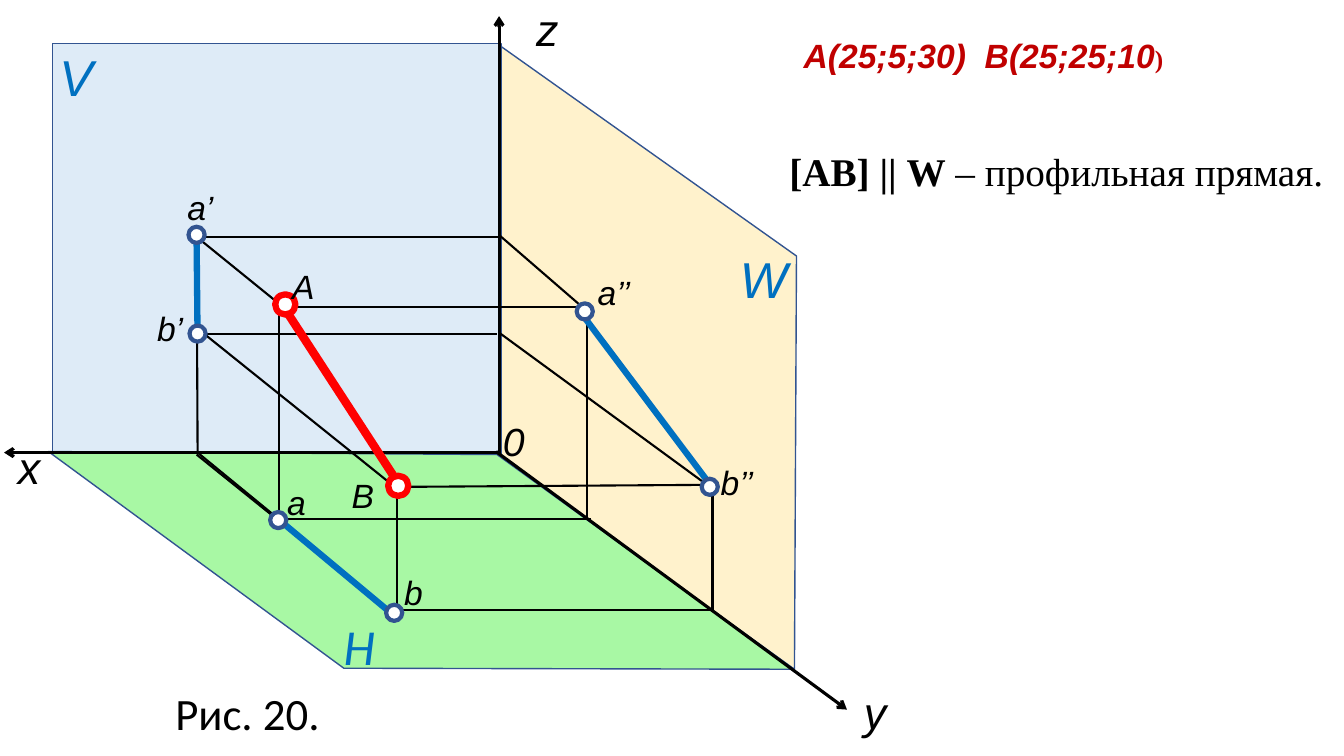
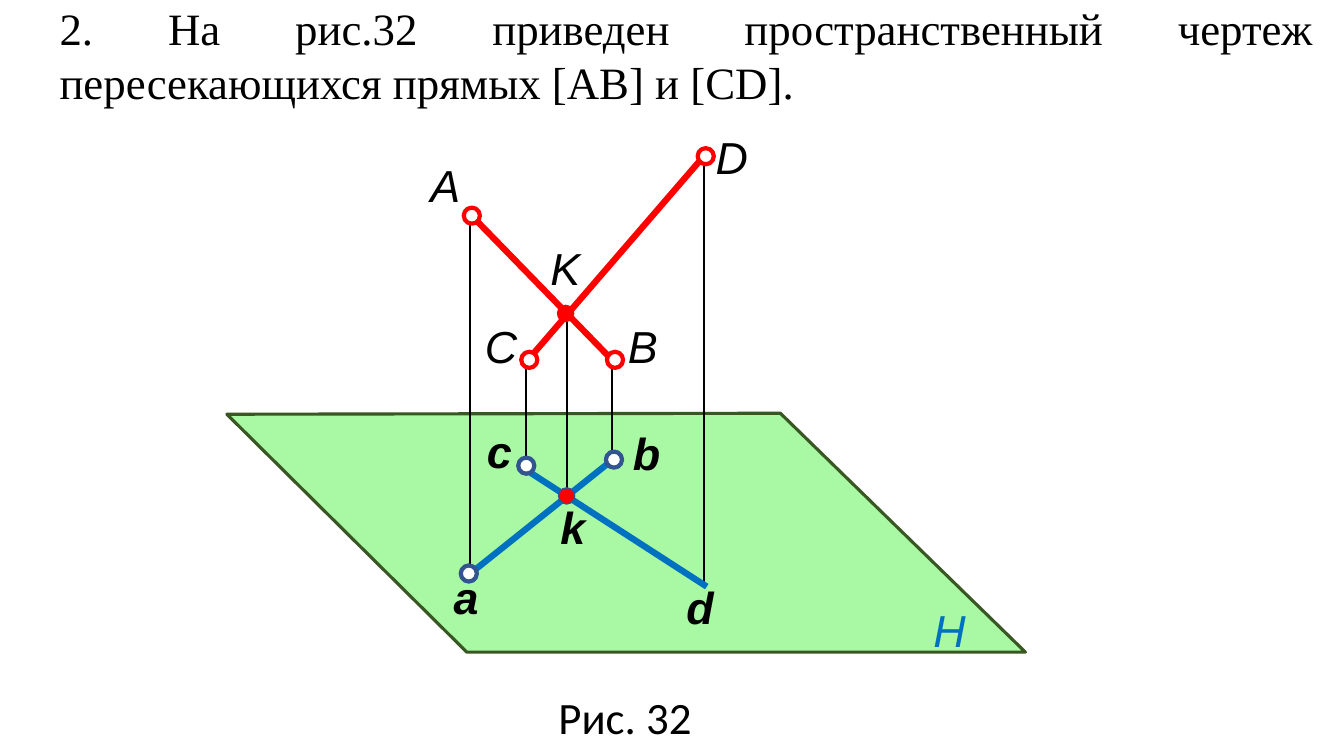
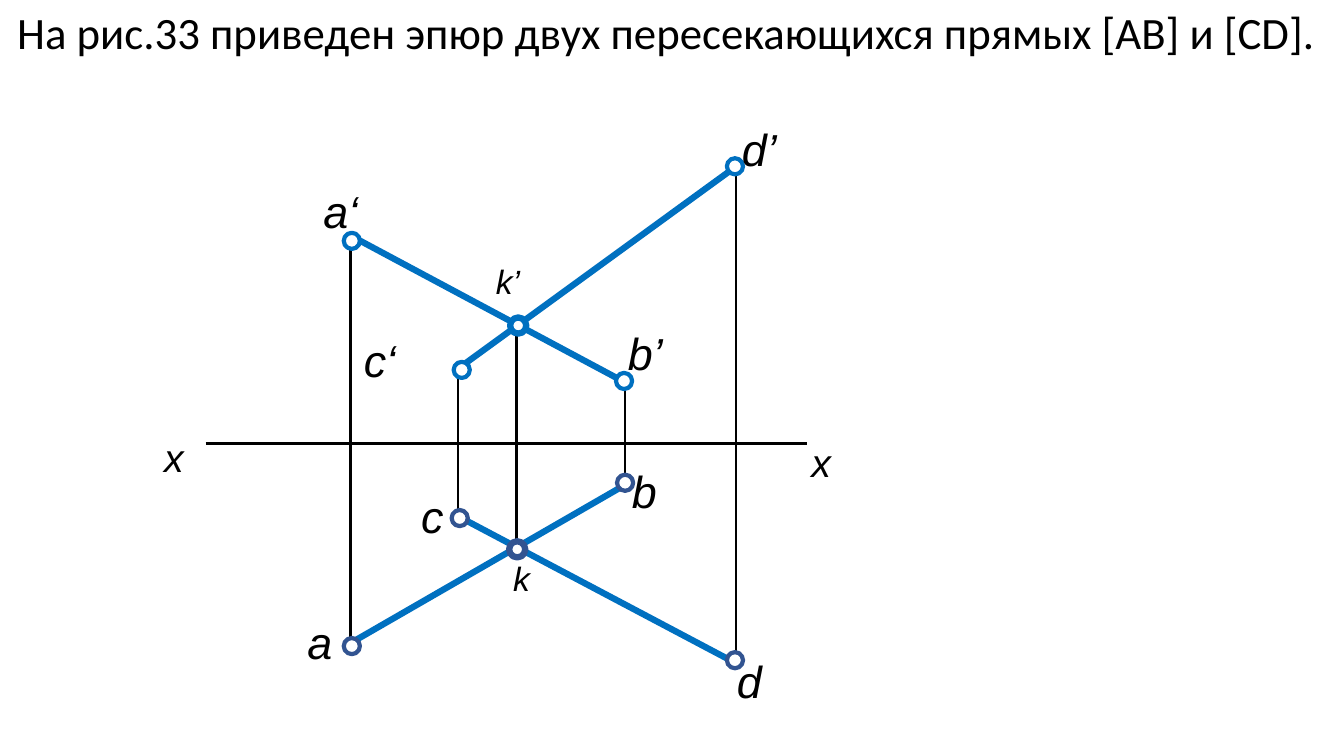
import pptx
import pptx.util
import pptx.dml.color
import pptx.enum.shapes
import pptx.enum.text
import pptx.oxml
import pptx.oxml.ns

Inches = pptx.util.Inches
Pt = pptx.util.Pt
ALIGN = pptx.enum.text.PP_ALIGN

BLACK, WHITE, RED, DARK_RED = "000000", "FFFFFF", "FF0000", "C00000"
BLUE, NAVY = "0070C0", "325491"
GREEN, DARK_GREEN, CREAM, PALE_BLUE = "A8F8A4", "385723", "FFF2CC", "DEEBF7"
SANS, SERIF, PLAIN = "Arial", "Times New Roman", "Calibri"
THIN, AXIS, BOLD_LINE = 1.5, 2.25, 4.5


def rgb(value):
    return pptx.dml.color.RGBColor.from_string(value)


def add_run(p, text, size=32, font=SANS, color=BLACK, bold=False, italic=False):
    r = p.add_run()
    r.text = text
    r.font.size = Pt(size)
    r.font.name = font
    r.font.bold = bold
    r.font.italic = italic
    r.font.color.rgb = rgb(color)
    return r


class Drawing:
    """Holds the presentation, the current slide and the drawing style."""

    def __init__(self):
        self.prs = pptx.Presentation()
        self.prs.slide_width = Inches(13.33)
        self.prs.slide_height = Inches(7.5)
        self.slide = None

    def new_slide(self):
        self.slide = self.prs.slides.add_slide(self.prs.slide_layouts[5])

    def frame(self, sp, align):
        tf = sp.text_frame
        tf.word_wrap = True
        tf.auto_size = pptx.enum.text.MSO_AUTO_SIZE.NONE
        tf.vertical_anchor = pptx.enum.text.MSO_ANCHOR.TOP
        p = tf.paragraphs[0]
        p.alignment = align
        return p

    def title(self, x, y, w, h, align=ALIGN.LEFT):
        sp = self.slide.shapes.title
        sp.left, sp.top, sp.width, sp.height = map(Inches, (x, y, w, h))
        return self.frame(sp, align)

    def text(self, text, x, y, w=1, h=0.64, align=ALIGN.LEFT, **fmt):
        sp = self.slide.shapes.add_textbox(*map(Inches, (x, y, w, h)))
        p = self.frame(sp, align)
        add_run(p, text, **fmt)
        return p

    def labels(self, items, **fmt):
        for text, x, y in items:
            self.text(text, x, y, **{"italic": True, **fmt})

    def paint(self, sp, fill, color, width):
        sp.shadow.inherit = False
        sp.fill.solid()
        sp.fill.fore_color.rgb = rgb(fill)
        sp.line.color.rgb = rgb(color)
        sp.line.width = Pt(width)

    def plane(self, points, fill, color=NAVY, width=1):
        pts = [(Inches(x), Inches(y)) for x, y in points]
        outline = self.slide.shapes.build_freeform(*pts[0])
        outline.add_line_segments(pts[1:], close=True)
        self.paint(outline.convert_to_shape(), fill, color, width)

    def rect(self, x, y, w, h, fill):
        kind = pptx.enum.shapes.MSO_SHAPE.RECTANGLE
        sp = self.slide.shapes.add_shape(kind, *map(Inches, (x, y, w, h)))
        self.paint(sp, fill, NAVY, 1)

    def points(self, centres, color=NAVY, width=3, fill=WHITE, size=0.16):
        kind = pptx.enum.shapes.MSO_SHAPE.OVAL
        for x, y in centres:
            box = (x - size / 2, y - size / 2, size, size)
            sp = self.slide.shapes.add_shape(kind, *map(Inches, box))
            self.paint(sp, fill, color, width)

    def lines(self, segments, color=BLACK, width=THIN, arrow=False):
        kind = pptx.enum.shapes.MSO_CONNECTOR.STRAIGHT
        for segment in segments:
            cx = self.slide.shapes.add_connector(kind, *map(Inches, segment))
            cx.line.color.rgb = rgb(color)
            cx.line.width = Pt(width)
            sp_pr = cx.element.spPr
            if arrow:
                head = pptx.oxml.parse_xml(
                    '<a:headEnd %s type="arrow"/>' % pptx.oxml.ns.nsdecls("a"))
                sp_pr.find(pptx.oxml.ns.qn("a:ln")).append(head)
            sp_pr.append(pptx.oxml.parse_xml(
                "<a:effectLst %s/>" % pptx.oxml.ns.nsdecls("a")))


def profile_line(d):
    d.new_slide()
    p = d.title(7.87, 0.3, 4.75, 0.5)
    add_run(p, "А(25;5;30)  В(25;25;10", size=24, color=DARK_RED,
            bold=True, italic=True)
    add_run(p, ")", size=18, font=SERIF, color=DARK_RED, bold=True)
    p = d.text("[АВ] || W", 7.65, 1.41, 5.65, 0.57, ALIGN.CENTER,
               size=28, font=SERIF, bold=True)
    add_run(p, " – профильная прямая.", size=28, font=SERIF)

    # Projection planes W, V, H
    d.plane([(4.94, 0.44), (7.9, 2.54), (7.88, 6.64), (4.96, 4.54)], CREAM)
    d.rect(0.52, 0.43, 4.45, 4.08, PALE_BLUE)
    d.plane([(0.48, 4.48), (4.93, 4.51), (7.87, 6.64), (3.41, 6.63)], GREEN)

    # Projecting lines of A, then of B
    d.lines([
        (4.98, 2.35, 1.89, 2.35), (2.85, 3.08, 1.95, 2.35),
        (5.8, 3.05, 2.76, 3.05), (4.96, 2.34, 5.78, 3.05),
        (2.77, 5.15, 2.77, 3.06), (5.86, 5.15, 2.82, 5.15),
        (5.82, 5.14, 5.82, 3.11), (2.82, 5.21, 1.95, 4.51),
        (1.96, 4.5, 1.95, 2.41), (4.93, 3.31, 1.97, 3.31),
        (3.89, 4.81, 1.96, 3.26), (4.95, 3.3, 7.04, 4.83),
        (4, 4.83, 7.03, 4.81), (3.94, 6.1, 3.94, 4.8),
        (7.06, 6.05, 3.95, 6.05), (3.96, 6.13, 1.96, 4.49)])
    d.lines([(7.07, 6.06, 7.07, 4.92)], width=AXIS)

    # Axes x, y, z
    d.lines([(0.04, 4.49, 4.96, 4.49), (8.4, 7.04, 4.92, 4.48),
             (4.95, 0.16, 4.95, 4.49)], width=AXIS, arrow=True)

    # Projections of the segment and the segment itself
    d.lines([(1.96, 3.38, 1.95, 2.4), (7.09, 4.87, 5.76, 3.1),
             (2.76, 5.15, 3.9, 6.1)], BLUE, BOLD_LINE)
    d.points([(1.95, 2.33), (1.96, 3.31), (5.8, 3.09), (7.04, 4.83),
              (2.76, 5.16), (3.91, 6.08)])
    d.lines([(2.81, 3.04, 3.98, 4.84)], RED, 6)
    d.points([(2.83, 3.02), (3.95, 4.82)], RED, BOLD_LINE, size=0.26 - 0.06)

    # Names
    d.labels([("a’", 1.76, 1.81), ("b’", 1.46, 3.01), ("a’’", 5.83, 2.65),
              ("b’’", 7.05, 4.53), ("a", 2.75, 4.73), ("b", 3.91, 5.62),
              ("A", 2.8, 2.59), ("B", 3.39, 4.66)], size=24)
    d.labels([("x", 0.08, 4.31), ("y", 8.47, 6.74), ("z", 5.22, -0.03)])
    d.labels([("0", 4.89, 4.09)], size=28)
    d.labels([("V", 0.49, 0.41), ("W", 7.24, 2.41)], size=36, color=BLUE)
    d.labels([("H", 3.31, 6.05)], size=36, color=BLUE, font=PLAIN)
    d.text("Рис. 20.", 1.64, 6.75, 2, font=PLAIN)


def crossing_in_space(d):
    d.new_slide()
    p = d.title(0.49, -0.04, 12.64, 1.18, ALIGN.JUSTIFY)
    add_run(p, "2. На рис.32 приведен пространственный чертеж "
               "пересекающихся прямых [AB] и [CD].", font=SERIF)
    d.plane([(2.25, 4.11), (7.74, 4.1), (10.17, 6.47), (4.63, 6.47)],
            GREEN, DARK_GREEN, AXIS)

    # Verticals, projections and segments
    verticals = [(4.66, 5.71, 2.09), (6.07, 4.53, 3.55), (6.98, 5.8, 1.51),
                 (5.22, 4.66, 3.56), (5.62, 4.98, 3.06)]
    d.lines([(x, low, x, high) for x, low, high in verticals])
    d.lines([(5.22, 3.59, 6.98, 1.55), (6.09, 3.59, 4.64, 2.1)],
            RED, BOLD_LINE)
    d.lines([(4.64, 5.71, 6.09, 4.55), (5.2, 4.65, 7.01, 5.82)],
            BLUE, BOLD_LINE)

    # Points
    d.points([(5.62, 4.92)], NAVY, 1, RED)
    d.points([(5.61, 3.11)], RED, 1, RED)
    d.points([(4.68, 2.14), (6.1, 3.57), (5.25, 3.57), (7, 1.55)], RED)
    d.points([(4.65, 5.69), (5.22, 4.62), (6.09, 4.56)])

    # Names
    d.labels([("A", 4.17, 1.52), ("B", 6.13, 3.11), ("С", 4.71, 3.11),
              ("D", 7, 1.24), ("K", 5.36, 2.34)])
    d.labels([("a", 4.4, 5.6), ("b", 6.18, 4.17), ("c", 4.73, 4.15),
              ("d", 6.71, 5.7), ("k", 5.46, 4.91)], bold=True)
    d.labels([("H", 9.16, 5.93)], color=BLUE)
    d.text("Рис. 32", 5.44, 6.79, 2, font=PLAIN)


def crossing_on_epure(d):
    d.new_slide()
    p = d.title(0.07, 0, 13.2, 0.64)
    add_run(p, "На рис.33 приведен эпюр двух пересекающихся прямых "
               "[AB] и [CD].", font=PLAIN)

    # Axis and connection lines
    verticals = [(4.54, 5.12, 3.63), (7.3, 6.58, 1.63), (6.2, 4.81, 3.78)]
    d.lines([(x, low, x, high) for x, low, high in verticals])
    strong = [(3.48, 6.4, 2.35), (5.12, 5.43, 3.22)]
    d.lines([(x, low, x, high) for x, low, high in strong], width=AXIS)
    d.lines([(2.04, 4.4, 8, 4.4)], width=AXIS)

    # Frontal and horizontal projections
    d.lines([(3.5, 2.35, 6.23, 3.81), (7.33, 1.63, 4.54, 3.66),
             (3.46, 6.39, 6.2, 4.81), (4.54, 5.12, 7.3, 6.58)],
            BLUE, BOLD_LINE)
    d.points([(5.13, 5.45)], NAVY, BOLD_LINE)
    d.points([(5.14, 3.23)], BLUE, BOLD_LINE)
    d.points([(3.49, 2.39), (4.58, 3.67), (6.19, 3.78), (7.29, 1.65)], BLUE)
    d.points([(3.49, 6.41), (4.56, 5.14), (6.2, 4.79), (7.29, 6.55)])

    # Names
    d.labels([("a‘", 3.11, 1.77), ("b’", 6.13, 3.18), ("c‘", 3.51, 3.25),
              ("d’", 7.26, 1.16), ("a", 2.95, 6.05), ("b", 6.17, 4.55),
              ("с", 4.08, 4.8), ("d", 7.21, 6.44)])
    d.labels([("k’", 4.82, 2.54), ("k", 4.99, 5.49)], size=24)
    d.labels([("x", 1.53, 4.25), ("x", 7.95, 4.3)], size=28)


def main():
    d = Drawing()
    profile_line(d)
    crossing_in_space(d)
    crossing_on_epure(d)
    d.prs.save("out.pptx")


if __name__ == "__main__":
    main()
